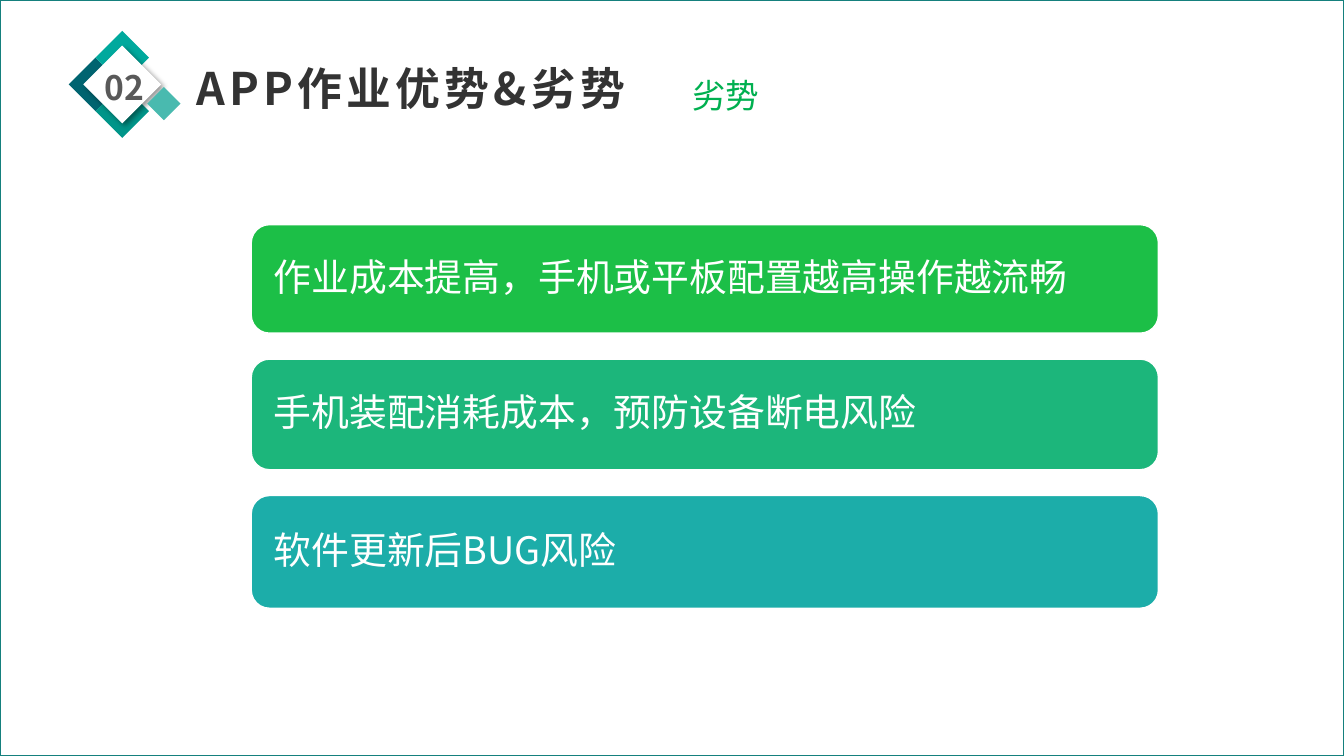
"""Builds the slide on the drawbacks of working with an app."""
from lxml.etree import SubElement
from pptx import Presentation
from pptx.dml.color import RGBColor
from pptx.enum.shapes import MSO_SHAPE as Preset
from pptx.enum.text import MSO_ANCHOR as Anchor, MSO_AUTO_SIZE as AutoSize, PP_ALIGN as Align
from pptx.oxml.ns import qn
from pptx.util import Pt

FONT = "Noto Sans CJK SC"
WHITE = RGBColor(0xFF, 0xFF, 0xFF)
FRAME = RGBColor(0x15, 0x80, 0x7D)
DEEP_TEAL = RGBColor(0x00, 0x64, 0x70)
BRIGHT_TEAL = RGBColor(0x00, 0xA9, 0x9D)
MID_TEAL = RGBColor(0x00, 0x95, 0x89)
PALE_TEAL = RGBColor(0x49, 0xBA, 0xAF)
NUMBER_GREY = RGBColor(0x59, 0x59, 0x59)
TITLE_GREY = RGBColor(0x33, 0x33, 0x33)
TAG_GREEN = RGBColor(0x00, 0xB0, 0x50)

BADGE_X, BADGE_Y = 87.3, 60.3
BADGE_STEP = 19.1
DIAMONDS = [
    (-BADGE_STEP, 0, 38.2, DEEP_TEAL),
    (0, -BADGE_STEP, 38.2, BRIGHT_TEAL),
    (0, BADGE_STEP, 38.2, MID_TEAL),
    (0, 0, 55.6, WHITE),
    (29.8, 13.7, 23.8, PALE_TEAL),
]

CARD_LEFT, CARD_TOP, CARD_WIDTH, CARD_GAP = 179.5, 160.5, 648, 18.5
CARD_RADIUS = 13
DRAWBACKS = [
    ("作业成本提高，手机或平板配置越高操作越流畅", 77.5, RGBColor(0x1C, 0xBF, 0x47)),
    ("手机装配消耗成本，预防设备断电风险", 79, RGBColor(0x1C, 0xB6, 0x7B)),
    ("软件更新后BUG风险", 80.5, RGBColor(0x1C, 0xAD, 0xA9)),
]


def write(frame, text, size, color, bold=False, align=Align.LEFT, spacing=0, layout=None):
    """Fill a text frame with one formatted run and return its paragraph."""
    settings = {"word_wrap": True, "auto_size": AutoSize.NONE, "vertical_anchor": Anchor.TOP}
    for name, value in {**settings, **(layout or {})}.items():
        setattr(frame, name, value)
    paragraph = frame.paragraphs[0]
    paragraph.alignment = align
    run = paragraph.add_run()
    run.text = text
    for name, value in {"name": FONT, "size": Pt(size), "bold": bold}.items():
        setattr(run.font, name, value)
    run.font.color.rgb = color
    properties = run.font._element
    properties.set("spc", str(spacing * 100))
    SubElement(properties, qn("a:ea"), typeface=FONT)
    return paragraph


def add_filled(slide, preset, box, fill, line=None):
    """Add a preset shape with a plain fill and an optional 1 pt line."""
    shape = slide.shapes.add_shape(preset, *map(Pt, box))
    shape.shadow.inherit = False
    shape.fill.solid()
    shape.fill.fore_color.rgb = fill
    if line is None:
        shape.line.fill.background()
    else:
        shape.line.color.rgb = line
        shape.line.width = Pt(1)
    return shape


def add_label(slide, box, text, size, color, **style):
    """Add a text box holding one line."""
    label = slide.shapes.add_textbox(*map(Pt, box))
    write(label.text_frame, text, size, color, **style)


def cast_shadow(shape):
    """Give a shape a soft shadow towards the lower right."""
    effects = shape._element.spPr.find(qn("a:effectLst"))
    shadow = SubElement(effects, qn("a:outerShdw"), blurRad=str(Pt(4)), dist=str(Pt(3)),
                        dir="2700000", algn="tl", rotWithShape="0")
    tint = SubElement(shadow, qn("a:srgbClr"), val="000000")
    SubElement(tint, qn("a:alpha"), val="40000")


def add_badge(slide, number):
    """Draw the diamond badge with the section number."""
    for dx, dy, size, fill in DIAMONDS:
        box = (BADGE_X + dx - size / 2, BADGE_Y + dy - size / 2, size, size)
        diamond = add_filled(slide, Preset.DIAMOND, box, fill)
        if fill == WHITE:
            cast_shadow(diamond)
    add_label(slide, (62, 44, 53.3, 27.4), number, 24, NUMBER_GREY, bold=True, align=Align.CENTER)


def set_title(slide, text):
    """Move the title placeholder and write the heading."""
    title = slide.shapes.title
    for name, value in {"left": 133.2, "top": 39.6, "width": 373, "height": 46}.items():
        setattr(title, name, Pt(value))
    write(title.text_frame, text, 32, TITLE_GREY, bold=True, spacing=3)


def add_card(slide, text, top, height, fill):
    """Add a rounded card with one drawback."""
    box = (CARD_LEFT, top, CARD_WIDTH, height)
    card = add_filled(slide, Preset.ROUNDED_RECTANGLE, box, fill, WHITE)
    card.adjustments[0] = CARD_RADIUS / height
    layout = {f"margin_{side}": Pt(12.2) for side in ("left", "top", "right", "bottom")}
    layout["vertical_anchor"] = Anchor.MIDDLE
    paragraph = write(card.text_frame, text, 27, WHITE, layout=layout)
    paragraph.line_spacing = 0.9
    paragraph.space_after = Pt(9.5)


def main():
    """Build and save the slide."""
    deck = Presentation()
    deck.slide_width, deck.slide_height = Pt(960), Pt(540)
    slide = deck.slides.add_slide(deck.slide_layouts[5])
    frame = add_filled(slide, Preset.RECTANGLE, (0, 0, 960, 540), WHITE, FRAME)
    slide.shapes.title._element.addprevious(frame._element)
    add_badge(slide, "02")
    set_title(slide, "APP作业优势&劣势")
    add_label(slide, (487.5, 49.7, 72, 36), "劣势", 24, TAG_GREEN)
    top = CARD_TOP
    for text, height, fill in DRAWBACKS:
        add_card(slide, text, top, height, fill)
        top += height + CARD_GAP
    deck.save("out.pptx")


if __name__ == "__main__":
    main()
